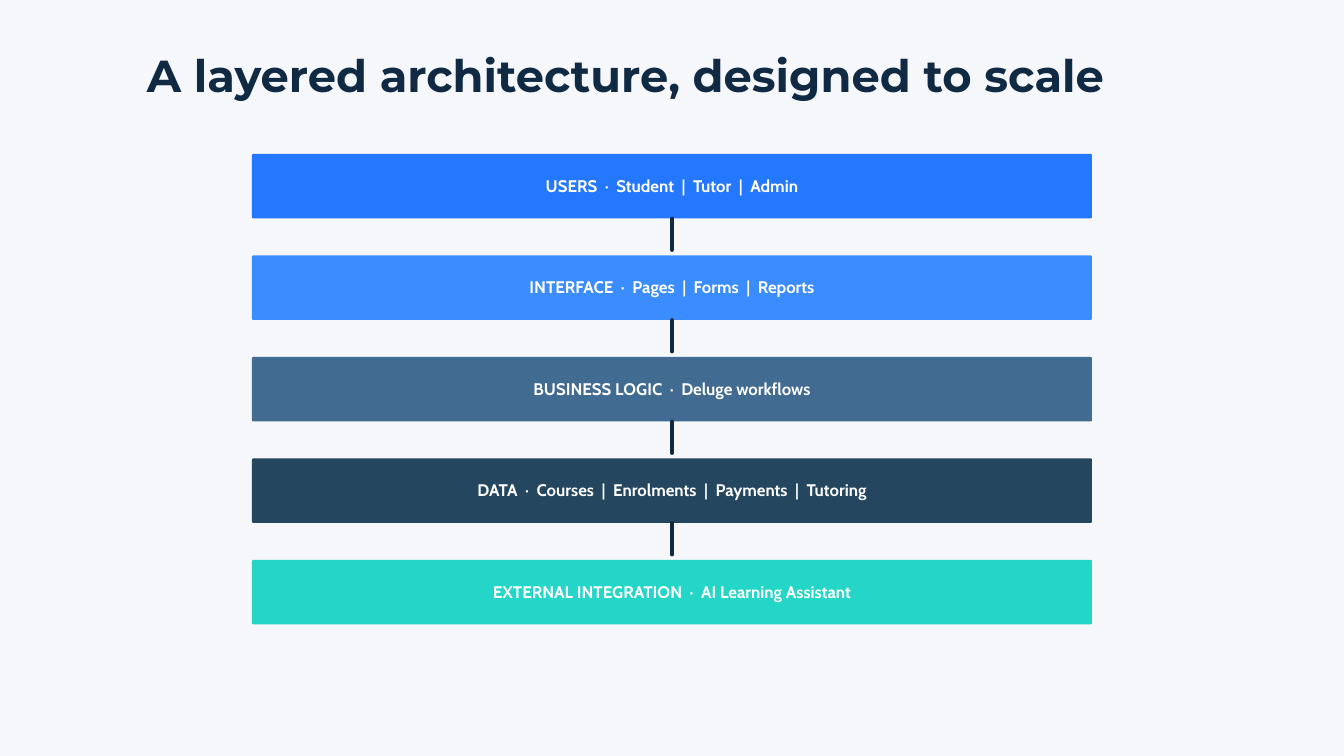
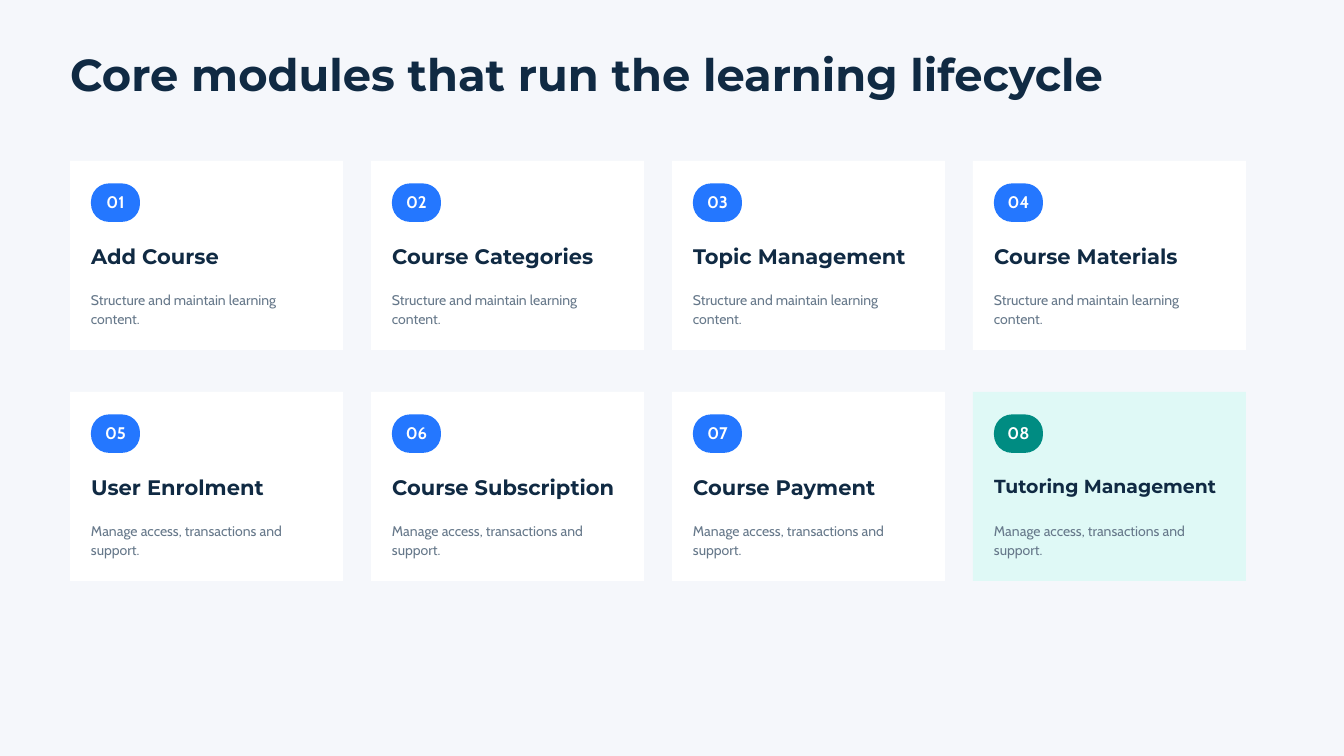
"""Build two slides: a layered architecture and a grid of core modules."""
from lxml import etree
from pptx import Presentation
from pptx.dml.color import RGBColor
from pptx.enum import shapes, text
from pptx.oxml import ns
from pptx.util import Pt

COLOURS = {
    "background": "F5F7FB", "ink": "102A43", "muted": "66788A", "white": "FFFFFF",
    "blue": "2477FF", "sky": "3B8CFF", "steel": "426B91", "navy": "24465F",
    "turquoise": "24D6C8", "mint": "DFF9F6", "teal": "008C82",
}
STYLES = {
    "title": {"name": "Montserrat", "size": 48, "bold": True, "colour": "ink", "spacing": 50.4},
    "label": {"name": "Cabin", "size": 18, "bold": True, "colour": "white", "spacing": 20.7},
    "module": {"name": "Montserrat", "size": 22.5, "bold": True, "colour": "ink", "spacing": 23.6},
    "long module": {"name": "Montserrat", "size": 20.2, "bold": True, "colour": "ink", "spacing": 21.3},
    "description": {"name": "Cabin", "size": 15, "bold": False, "colour": "muted", "spacing": 20.2},
}

ARCHITECTURE_TITLE = "A layered architecture, designed to scale"
LAYERS = [
    ("USERS", ["Student", "Tutor", "Admin"], "blue"),
    ("INTERFACE", ["Pages", "Forms", "Reports"], "sky"),
    ("BUSINESS LOGIC", ["Deluge workflows"], "steel"),
    ("DATA", ["Courses", "Enrolments", "Payments", "Tutoring"], "navy"),
    ("EXTERNAL INTEGRATION", ["AI Learning Assistant"], "turquoise"),
]

MODULES_TITLE = "Core modules that run the learning lifecycle"
MODULE_ROWS = [
    ("Structure and maintain learning content.",
     ["Add Course", "Course Categories", "Topic Management", "Course Materials"]),
    ("Manage access, transactions and support.",
     ["User Enrolment", "Course Subscription", "Course Payment", "Tutoring Management"]),
]
HIGHLIGHT = "Tutoring Management"

SLIDE_WIDTH, SLIDE_HEIGHT = 1440, 810
LAYER_LEFT, LAYER_TOP, LAYER_WIDTH, LAYER_HEIGHT = 270, 165, 900, 69
LAYER_STEP, LINK_LENGTH = 108.75, 34
CARD_LEFT, CARD_TOP, CARD_WIDTH, CARD_HEIGHT = 75, 172.5, 292.5, 202.5
CARD_GAP_X, CARD_GAP_Y, CARD_INSET = 30, 45, 22.5


def rgb(colour):
    return RGBColor.from_string(COLOURS[colour])


def write(holder, words, style, inset=0, align=text.PP_ALIGN.LEFT, anchor=text.MSO_ANCHOR.TOP):
    look = STYLES[style]
    frame = holder.text_frame
    frame.text = words
    frame_format = {"word_wrap": True, "auto_size": text.MSO_AUTO_SIZE.NONE, "vertical_anchor": anchor}
    frame_format.update({f"margin_{side}": Pt(inset) for side in ("left", "top", "right", "bottom")})
    for key, value in frame_format.items():
        setattr(frame, key, value)
    paragraph = frame.paragraphs[0]
    paragraph.alignment = align
    paragraph.line_spacing = Pt(look["spacing"])
    for key, value in {"name": look["name"], "size": Pt(look["size"]), "bold": look["bold"]}.items():
        setattr(paragraph.font, key, value)
    paragraph.font.color.rgb = rgb(look["colour"])


def add_panel(slide, preset, box, colour, label="", rounding=None):
    panel = slide.shapes.add_shape(preset, *map(Pt, box))
    panel.shadow.inherit = False
    panel.fill.solid()
    panel.fill.fore_color.rgb = rgb(colour)
    panel.line.fill.background()
    if rounding is not None:
        panel.adjustments[0] = rounding
    if label:
        write(panel, label, "label", 4.5, text.PP_ALIGN.CENTER, text.MSO_ANCHOR.MIDDLE)


def add_words(slide, box, words, style):
    write(slide.shapes.add_textbox(*map(Pt, box)), words, style)


def add_link(slide, x, top):
    link = slide.shapes.add_connector(
        shapes.MSO_CONNECTOR.STRAIGHT, Pt(x), Pt(top), Pt(x), Pt(top + LINK_LENGTH))
    link.line.width = Pt(3.75)
    link.line.color.rgb = rgb("ink")
    link.line._get_or_add_ln().set("cap", "rnd")
    etree.SubElement(link._element.spPr, ns.qn("a:effectLst"))


def add_titled_slide(deck, words, left, top):
    slide = deck.slides.add_slide(deck.slide_layouts[5])
    title = slide.shapes.title
    place = {"left": left, "top": top, "width": 1125, "height": 51}
    for key, value in place.items():
        setattr(title, key, Pt(value))
    write(title, words, "title")
    return slide


def build_architecture(deck):
    slide = add_titled_slide(deck, ARCHITECTURE_TITLE, 157.5, 58.5)
    for index, (layer, parts, colour) in enumerate(LAYERS):
        top = LAYER_TOP + index * LAYER_STEP
        label = f"{layer}  ·  {'  |  '.join(parts)}"
        add_panel(slide, shapes.MSO_SHAPE.ROUNDED_RECTANGLE,
                  (LAYER_LEFT, top, LAYER_WIDTH, LAYER_HEIGHT), colour, label, 0.02)
        if index < len(LAYERS) - 1:
            add_link(slide, SLIDE_WIDTH / 2, top + LAYER_HEIGHT)


def add_card(slide, left, top, number, module, description):
    special = module == HIGHLIGHT
    inner = left + CARD_INSET
    add_panel(slide, shapes.MSO_SHAPE.RECTANGLE, (left, top, CARD_WIDTH, CARD_HEIGHT),
              "mint" if special else "white")
    add_panel(slide, shapes.MSO_SHAPE.ROUNDED_RECTANGLE, (inner, top + 24, 52.5, 41.25),
              "teal" if special else "blue", f"{number:02}", 0.47)
    add_words(slide, (inner, top + 91.75, 240, 25), module, "long module" if special else "module")
    add_words(slide, (inner, top + 137.25, 244, 40), description, "description")


def build_modules(deck):
    slide = add_titled_slide(deck, MODULES_TITLE, 75, 57)
    for row, (description, modules) in enumerate(MODULE_ROWS):
        for column, module in enumerate(modules):
            add_card(slide, CARD_LEFT + column * (CARD_WIDTH + CARD_GAP_X),
                     CARD_TOP + row * (CARD_HEIGHT + CARD_GAP_Y),
                     row * len(modules) + column + 1, module, description)


def main():
    deck = Presentation()
    deck.slide_width, deck.slide_height = Pt(SLIDE_WIDTH), Pt(SLIDE_HEIGHT)
    backdrop = deck.slide_master.background.fill
    backdrop.solid()
    backdrop.fore_color.rgb = rgb("background")
    build_architecture(deck)
    build_modules(deck)
    deck.save("out.pptx")


if __name__ == "__main__":
    main()
